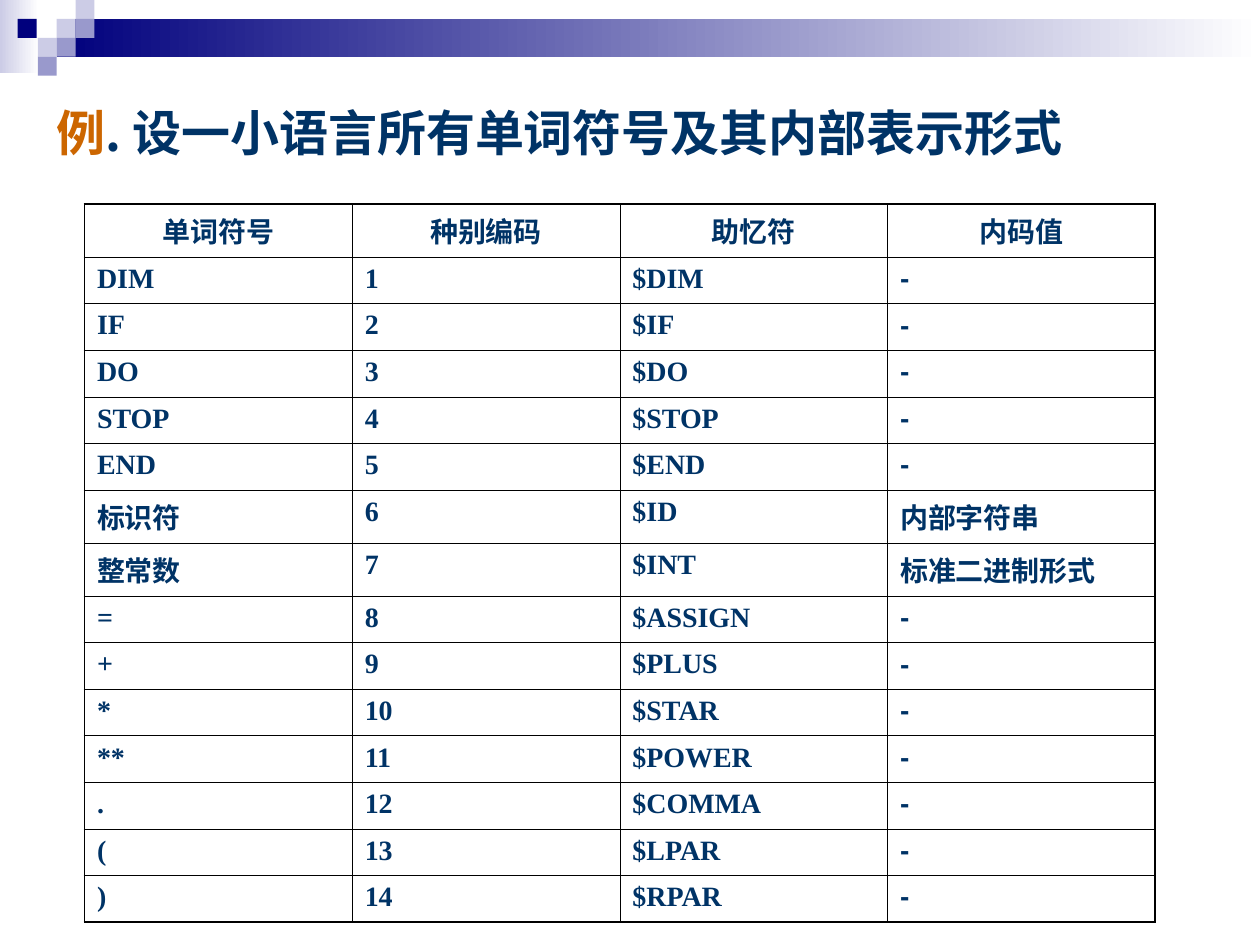
import pptx
import pptx.dml.color
import pptx.enum.dml
import pptx.enum.shapes
import pptx.enum.text
import pptx.oxml.ns
import pptx.util
from lxml import etree

Inches = pptx.util.Inches
Pt = pptx.util.Pt
qn = pptx.oxml.ns.qn

COLORS = {
    "navy": "00007D", "mid": "9999CC", "pale": "CCCCE6", "white": "FFFFFF",
    "text": "003366", "accent": "CC6600", "border": "000000",
}
CJK_FONT = "Noto Sans CJK SC"
TITLE_FORMAT = {"name": CJK_FONT, "size": Pt(28), "bold": True}
CELL_FORMAT = {"size": Pt(16), "bold": True}

GRADIENT_BARS = [
    ((0, 0, 0.31, 0.58), ("pale", "white")),
    ((0.45, 0.15, 9.55, 0.3), ("navy", "white")),
]
TILE = 0.15
TILES = [
    (0.45, 0.15, "pale"), (0.6, 0, "pale"), (0.6, 0.15, "mid"),
    (0.3, 0.3, "pale"), (0.14, 0.15, "navy"), (0.45, 0.3, "mid"),
    (0.3, 0.45, "mid"),
]

HEADER = ["单词符号", "种别编码", "助忆符", "内码值"]
TOKENS = [
    ("DIM", "DIM", "-"), ("IF", "IF", "-"), ("DO", "DO", "-"),
    ("STOP", "STOP", "-"), ("END", "END", "-"),
    ("标识符", "ID", "内部字符串"), ("整常数", "INT", "标准二进制形式"),
    ("=", "ASSIGN", "-"), ("+", "PLUS", "-"), ("*", "STAR", "-"),
    ("**", "POWER", "-"), (".", "COMMA", "-"), ("(", "LPAR", "-"),
    (")", "RPAR", "-"),
]
OUTER_WIDTH, INNER_WIDTH = 1.08, 0.45


def rgb(name):
    return pptx.dml.color.RGBColor.from_string(COLORS[name])


def add_run(p, text, color, formats):
    r = p.add_run()
    r.text = text
    r.font.color.rgb = rgb(color)
    for key, value in formats.items():
        setattr(r.font, key, value)
    etree.SubElement(r.font._element, qn("a:ea"), typeface=CJK_FONT)


def add_block(s, box, colors):
    """Add a borderless rectangle, solid for one colour, gradient for two."""
    sp = s.shapes.add_shape(pptx.enum.shapes.MSO_SHAPE.RECTANGLE,
                            *map(Inches, box))
    sp.shadow.inherit = False
    sp.line.fill.background()
    if len(colors) == 1:
        sp.fill.solid()
        sp.fill.fore_color.rgb = rgb(colors[0])
    else:
        sp.fill.gradient()
        sp.fill.gradient_angle = 0
        for stop, color in zip(sp.fill.gradient_stops, colors):
            stop.color.rgb = rgb(color)


def add_title(s):
    sp = s.shapes.title
    sp.left, sp.top, sp.width, sp.height = map(Inches, (0.35, 0.76, 8.9, 0.58))
    tf = sp.text_frame
    tf.word_wrap = True
    tf.auto_size = pptx.enum.text.MSO_AUTO_SIZE.NONE
    tf.vertical_anchor = pptx.enum.text.MSO_ANCHOR.MIDDLE
    p = tf.paragraphs[0]
    p.alignment = pptx.enum.text.PP_ALIGN.LEFT
    add_run(p, "例", "accent", TITLE_FORMAT)
    add_run(p, ". 设一小语言所有单词符号及其内部表示形式", "text", TITLE_FORMAT)


def set_borders(cell, outer_sides):
    tc_pr = cell._tc.get_or_add_tcPr()
    for side in "LRTB":
        width = OUTER_WIDTH if side in outer_sides else INNER_WIDTH
        ln = etree.SubElement(tc_pr, qn(f"a:ln{side}"), w=str(Pt(width)))
        fill = etree.SubElement(ln, qn("a:solidFill"))
        etree.SubElement(fill, qn("a:srgbClr"), val=COLORS["border"])


def fill_cell(cell, text, is_header, is_value):
    use_arial = is_header or is_value or not text.isascii()
    font = "Arial" if use_arial else "Times New Roman"
    p = cell.text_frame.paragraphs[0]
    align = pptx.enum.text.PP_ALIGN
    p.alignment = align.CENTER if is_header else align.LEFT
    add_run(p, text, "text", {"name": font, **CELL_FORMAT})


def add_token_table(s):
    rows = [HEADER] + [(word, str(code), f"${mnemonic}", value)
                       for code, (word, mnemonic, value) in enumerate(TOKENS, 1)]
    last_row, last_col = len(rows) - 1, len(HEADER) - 1
    heights = [0.37 if row[0].isascii() else 0.42 for row in rows]
    frame = s.shapes.add_table(len(rows), len(HEADER), Inches(0.67),
                               Inches(1.62), Inches(8.5), Inches(sum(heights)))
    table = frame.table
    table.first_row = table.horz_banding = False
    for i, row in enumerate(rows):
        table.rows[i].height = Inches(heights[i])
        for j, text in enumerate(row):
            cell = table.cell(i, j)
            edges = {"L": j == 0, "R": j == last_col,
                     "T": i == 0, "B": i == last_row}
            set_borders(cell, [side for side in edges if edges[side]])
            cell.fill.background()
            fill_cell(cell, text, i == 0, j == last_col)


def main():
    prs = pptx.Presentation()
    prs.slide_width, prs.slide_height = Inches(10), Inches(7.5)
    s = prs.slides.add_slide(prs.slide_layouts[5])
    for box, colors in GRADIENT_BARS:
        add_block(s, box, colors)
    for left, top, color in TILES:
        add_block(s, (left, top, TILE, TILE), [color])
    add_title(s)
    add_token_table(s)
    prs.save("out.pptx")


if __name__ == "__main__":
    main()
